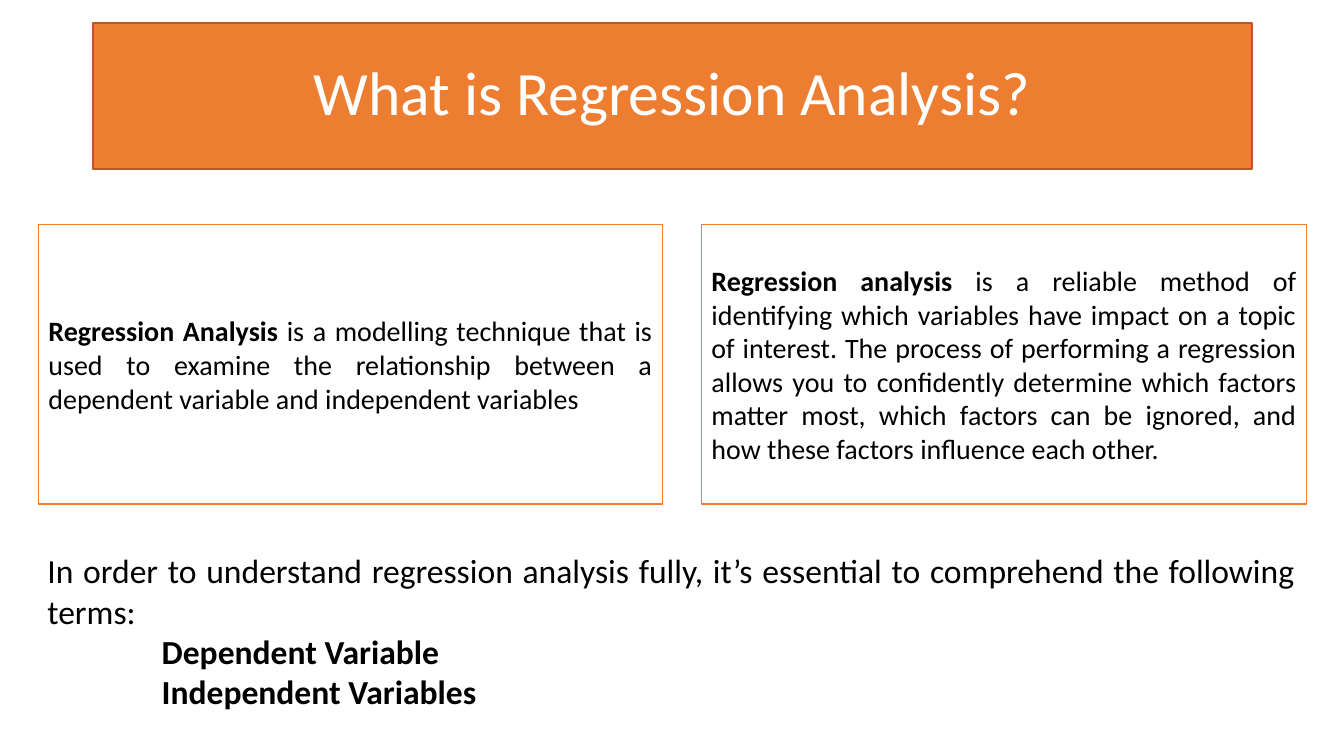
"""Build a slide that defines regression analysis and its key terms."""
from pptx import Presentation
from pptx.dml.color import RGBColor
from pptx.enum.shapes import MSO_SHAPE as Kind
from pptx.enum.text import MSO_ANCHOR as Anchor, MSO_AUTO_SIZE as Fit, PP_ALIGN as Align
from pptx.oxml.ns import qn
from pptx.util import Cm, Pt

ORANGE = RGBColor(0xED, 0x7D, 0x31)
RUST = RGBColor(0xAF, 0x5C, 0x24)
WHITE = RGBColor(0xFF, 0xFF, 0xFF)
BLACK = RGBColor(0, 0, 0)

TITLE = "What is Regression Analysis?"
CARDS = [
    (0.97, 15.72, "Regression Analysis",
     " is a modelling technique that is used to examine the relationship "
     "between a dependent variable and independent variables"),
    (17.68, 15.24, "Regression analysis ",
     "is a reliable method of identifying which variables have impact on a "
     "topic of interest. The process of performing a regression allows you "
     "to confidently determine which factors matter most, which factors can "
     "be ignored, and how these factors influence each other."),
]
INTRO = ("In order to understand regression analysis fully, it’s essential "
         "to comprehend the following terms:")
TERMS = ["Dependent Variable", "Independent Variables"]

CARD_TOP, CARD_HIGH = 5.66, 7.04
INDENT = 2.88
FONTS = {
    "title": {"name": "Calibri", "size": Pt(44), "bold": False},
    "card": {"name": "Calibri", "size": Pt(20)},
    "body": {"name": "Calibri", "size": Pt(24)},
}


def place(shape, *box):
    for name, value in zip(("left", "top", "width", "height"), box):
        setattr(shape, name, Cm(value))


def paint(shape, fill, line):
    shape.fill.solid()
    shape.fill.fore_color.rgb = fill
    shape.line.color.rgb = line
    shape.line.width = Pt(1)


def frame(shape, anchor):
    form = {"word_wrap": True, "auto_size": Fit.NONE, "vertical_anchor": anchor}
    for name, value in form.items():
        setattr(shape.text_frame, name, value)
    return shape.text_frame


def write(para, text, style, color, bold=False):
    run = para.add_run()
    run.text = text
    for name, value in {"bold": bold, **FONTS[style]}.items():
        setattr(run.font, name, value)
    run.font.color.rgb = color


deck = Presentation()
deck.slide_width, deck.slide_height = Cm(33.87), Cm(19.05)
slide = deck.slides.add_slide(deck.slide_layouts[1])

for left, width, term, text in CARDS:
    card = slide.shapes.add_shape(Kind.RECTANGLE, 0, 0, 0, 0)
    place(card, left, CARD_TOP, width, CARD_HIGH)
    paint(card, WHITE, ORANGE)
    card.shadow.inherit = False
    para = frame(card, Anchor.MIDDLE).paragraphs[0]
    para.alignment = Align.JUSTIFY
    write(para, term, "card", BLACK, True)
    write(para, text, "card", BLACK)

title = slide.shapes.title
place(title, 2.34, 0.58, 29.21, 3.68)
paint(title, ORANGE, RUST)
para = frame(title, Anchor.MIDDLE).paragraphs[0]
para.alignment, para.line_spacing = Align.CENTER, 0.9
write(para, TITLE, "title", WHITE)

body = slide.placeholders[1]
place(body, 0.94, 13.74, 31.95, 4.37)
text = frame(body, Anchor.TOP)
for row, line in enumerate([INTRO, *TERMS]):
    para = text.add_paragraph() if row else text.paragraphs[0]
    para.alignment, para.space_before = Align.JUSTIFY, Pt(0)
    props = para._p.get_or_add_pPr()
    props.set("marL", str(Cm(INDENT) if row else 0))
    props.set("indent", "0")
    props.append(props.makeelement(qn("a:buNone"), {}))
    write(para, line, "body", BLACK, row > 0)

deck.save("out.pptx")
